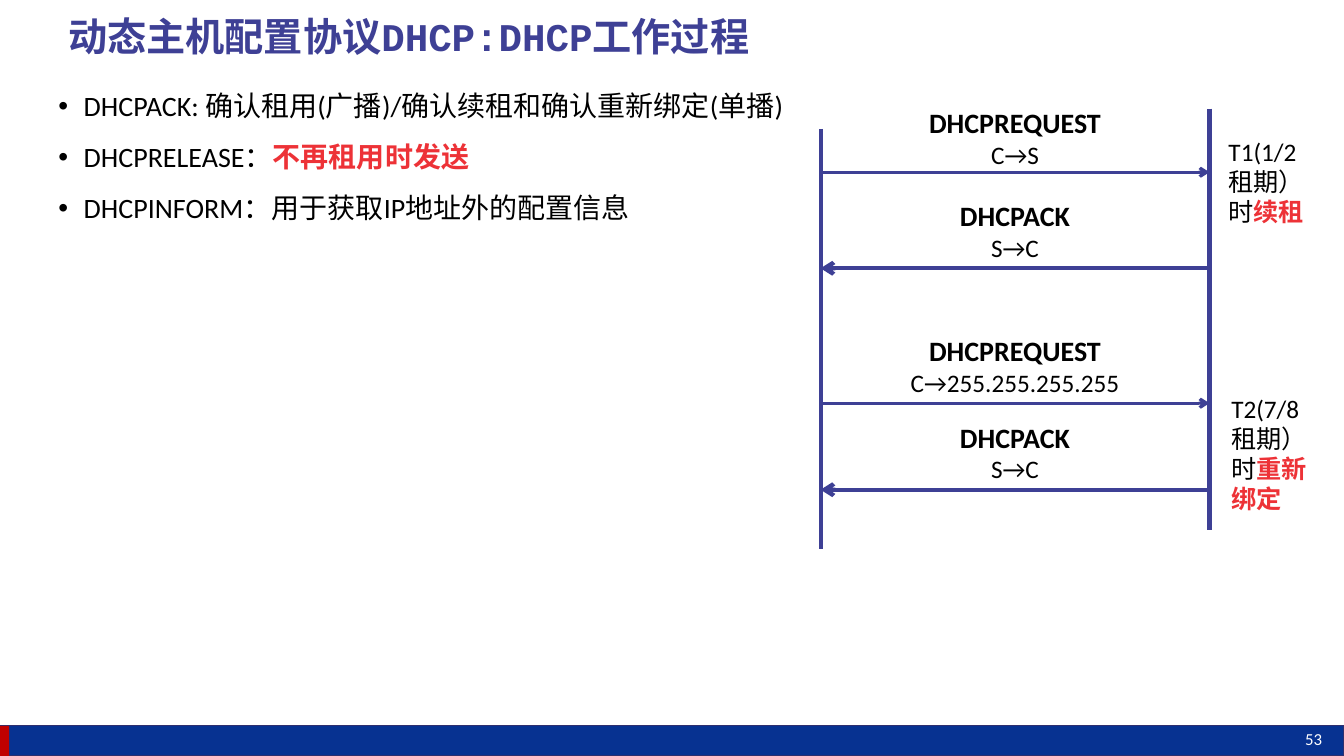
import pptx
import pptx.dml.color
import pptx.enum.shapes
import pptx.enum.text
import pptx.oxml.ns
import pptx.util
from lxml import etree

Cm = pptx.util.Cm
Pt = pptx.util.Pt
ALIGN = pptx.enum.text.PP_ALIGN
ANCHOR = pptx.enum.text.MSO_ANCHOR
qn = pptx.oxml.ns.qn

COLORS = {"blue": "3E4095", "black": "000000", "red": "ED3237",
          "white": "FFFFFF", "navy": "073291", "edge": "2E2F6E",
          "mark": "C00000"}

PLAIN = {"name": "Calibri", "size": Pt(20), "bold": False, "color": "black"}
BOLD = {**PLAIN, "bold": True}
ALERT = {**BOLD, "color": "red"}
SMALL = {**PLAIN, "size": Pt(18)}
WARN = {**ALERT, "size": Pt(18)}
TITLE = {"name": "Courier New", "size": Pt(28), "bold": True, "color": "blue"}
PAGE = {"name": "Calibri", "size": Pt(12), "bold": False, "color": "white"}

CLIENT, SERVER = 20.68, 30.48

BULLETS = [
    [("DHCPACK: 确认租用(广播)/确认续租和确认重新绑定(单播)", PLAIN)],
    [("DHCPRELEASE：", PLAIN), ("不再租用时发送", ALERT)],
    [("DHCPINFORM：用于获取IP地址外的配置信息", PLAIN)],
]
# Message, route, label top, arrow height, towards the server
STEPS = [
    ("DHCPREQUEST", "C→S", 2.54, 4.34, True),
    ("DHCPACK", "S→C", 4.88, 6.76, False),
    ("DHCPREQUEST", "C→255.255.255.255", 8.28, 10.16, True),
    ("DHCPACK", "S→C", 10.46, 12.34, False),
]
# Timer, action, left, top, height
NOTES = [
    ("T1(1/2租期）时", "续租", 30.71, 3.3, 2.56),
    ("T2(7/8租期）时", "重新绑定", 30.78, 9.78, 3.33),
]


def tint(name):
    return pptx.dml.color.RGBColor.from_string(COLORS[name])


def add_run(para, text, style):
    run = para.add_run()
    run.text = text
    for key, value in style.items():
        if key == "color":
            run.font.color.rgb = tint(value)
        else:
            setattr(run.font, key, value)


def add_text(slide, box, lines, frame=None, form=None):
    """Add a text box whose lines are lists of (text, style) runs."""
    body = slide.shapes.add_textbox(*map(Cm, box)).text_frame
    for key, value in {"word_wrap": True, **(frame or {})}.items():
        setattr(body, key, value)
    for i, runs in enumerate(lines):
        para = body.paragraphs[0] if i == 0 else body.add_paragraph()
        for key, value in (form or {}).items():
            setattr(para, key, value)
        for text, style in runs:
            add_run(para, text, style)
    return body


def add_list(slide, box, lines):
    body = add_text(slide, box, lines, form={"line_spacing": 1.1})
    for i, para in enumerate(body.paragraphs):
        props = para._p.get_or_add_pPr()
        props.set("marL", str(Cm(0.64)))
        props.set("indent", str(Cm(-0.64)))
        etree.SubElement(props, qn("a:buFont")).set("typeface", "Arial")
        etree.SubElement(props, qn("a:buChar")).set("char", "•")
        if i:
            para.space_before = Pt(10)


def add_line(slide, start, end, width, arrow=False):
    kind = pptx.enum.shapes.MSO_CONNECTOR.STRAIGHT
    link = slide.shapes.add_connector(kind, *map(Cm, start + end))
    link.line.color.rgb = tint("blue")
    link.line.width = Pt(width)
    if arrow:
        tail = etree.SubElement(link.line._get_or_add_ln(), qn("a:tailEnd"))
        tail.set("type", "arrow")
    etree.SubElement(link._element.spPr, qn("a:effectLst"))


def add_bar(slide, box, fill, edge=None):
    kind = pptx.enum.shapes.MSO_SHAPE.RECTANGLE
    bar = slide.shapes.add_shape(kind, *map(Cm, box))
    bar.shadow.inherit = False
    bar.fill.solid()
    bar.fill.fore_color.rgb = tint(fill)
    if edge:
        bar.line.color.rgb = tint(edge)
        bar.line.width = Pt(1)
    else:
        bar.line.fill.background()


def add_flow(slide):
    """Draw the two time lines with their messages and timer notes."""
    add_line(slide, (CLIENT, 3.25), (CLIENT, 13.84), 3)
    add_line(slide, (SERVER, 2.74), (SERVER, 13.36), 3)
    for name, route, top, y, ask in STEPS:
        ends = (CLIENT, y), (SERVER, y)
        start, end = ends if ask else ends[::-1]
        add_line(slide, start, end, 2.25 if ask else 3, arrow=True)
        add_text(slide, (20.88, top, 9.4, 1.88),
                 [[(name, BOLD)], [(route, SMALL)]],
                 form={"alignment": ALIGN.CENTER})
    for timer, action, left, top, height in NOTES:
        add_text(slide, (left, top, 2.59, height),
                 [[(timer, SMALL), (action, WARN)]])


def main():
    deck = pptx.Presentation()
    deck.slide_width, deck.slide_height = Cm(33.87), Cm(19.05)
    slide = deck.slides.add_slide(deck.slide_layouts[6])
    add_bar(slide, (0, 18.29, 33.87, 0.76), "navy", "edge")
    add_text(slide, (32.64, 18.24, 1.96, 0.76), [[("53", PAGE)]])
    add_bar(slide, (0, 18.29, 0.23, 0.76), "mark")
    add_text(slide, (1.47, 0.1, 31.12, 1.78),
             [[("动态主机配置协议DHCP:DHCP工作过程", TITLE)]],
             frame={"vertical_anchor": ANCHOR.MIDDLE},
             form={"line_spacing": 0.9})
    add_list(slide, (1.22, 2.03, 18.85, 15.6), BULLETS)
    add_flow(slide)
    deck.save("out.pptx")


if __name__ == "__main__":
    main()
